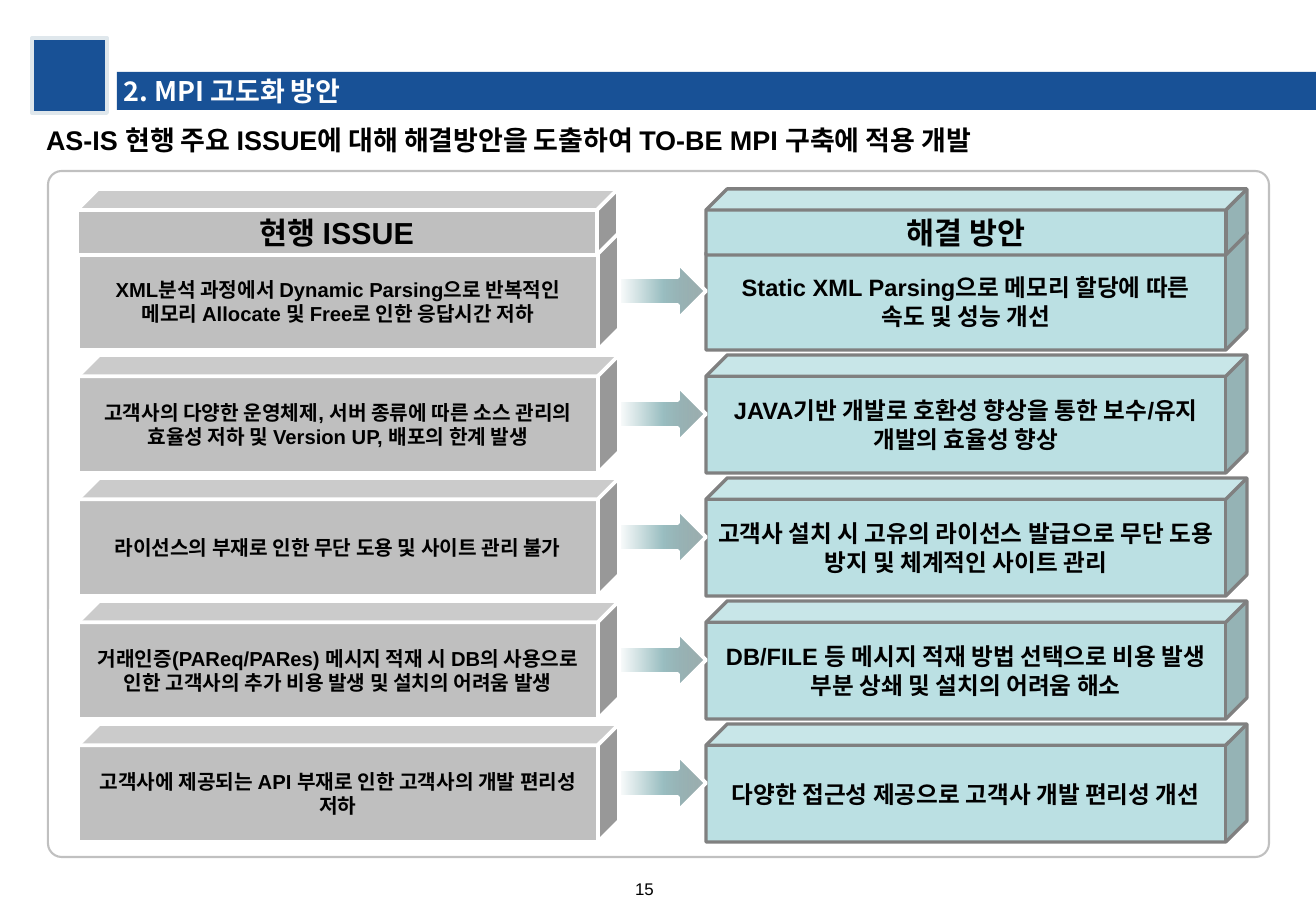
from lxml import etree
from pptx import Presentation
from pptx.dml.color import RGBColor
from pptx.enum.shapes import MSO_SHAPE
from pptx.enum.text import MSO_ANCHOR, PP_ALIGN
from pptx.oxml.ns import qn
from pptx.util import Pt

RECT, ROUND = MSO_SHAPE.RECTANGLE, MSO_SHAPE.ROUNDED_RECTANGLE
CUBE, ARROW = MSO_SHAPE.CUBE, MSO_SHAPE.RIGHT_ARROW
LEFT, CENTER = PP_ALIGN.LEFT, PP_ALIGN.CENTER
TOP, MIDDLE, BOTTOM = MSO_ANCHOR.TOP, MSO_ANCHOR.MIDDLE, MSO_ANCHOR.BOTTOM

SCALE = 914400 / 121.5
NAVY, WHITE, BLACK = "185196", "FFFFFF", "000000"
ARROW_STOPS = [(0, "6D8688", 66), (50, "9BBFC2", 100), (100, WHITE, 100)]

ISSUE = {"fill": "BFBFBF", "line": WHITE, "weight": 2.25}
SOLUTION = {"fill": "BBE0E3", "line": "808080", "weight": 2}
ROWS = [
    ("XML분석 과정에서 Dynamic Parsing으로 반복적인 메모리 Allocate 및 Free로 인한 응답시간 저하",
     "Static XML Parsing으로 메모리 할당에 따른 속도 및 성능 개선"),
    ("고객사의 다양한 운영체제, 서버 종류에 따른 소스 관리의 효율성 저하 및 Version UP, 배포의 한계 발생",
     "JAVA기반 개발로 호환성 향상을 통한 보수/유지 개발의 효율성 향상"),
    ("라이선스의 부재로 인한 무단 도용 및 사이트 관리 불가",
     "고객사 설치 시 고유의 라이선스 발급으로 무단 도용 방지 및 체계적인 사이트 관리"),
    ("거래인증(PAReq/PARes) 메시지 적재 시 DB의 사용으로 인한 고객사의 추가 비용 발생 및 설치의 어려움 발생",
     "DB/FILE 등 메시지 적재 방법 선택으로 비용 발생 부분 상쇄 및 설치의 어려움 해소"),
    ("고객사에 제공되는 API 부재로 인한 고객사의 개발 편리성 저하",
     "다양한 접근성 제공으로 고객사 개발 편리성 개선"),
]


def px(n):
    return round(n * SCALE)


def rgb(value):
    return RGBColor.from_string(value)


def place(sp, x, y, w, h):
    sp.left, sp.top, sp.width, sp.height = px(x), px(y), px(w), px(h)


def set_text(sp, text, size, color=BLACK, font="Arial", bold=True,
             align=LEFT, anchor=TOP, wrap=True, inset=0):
    tf = sp.text_frame
    tf.text = text
    tf.word_wrap = wrap
    tf.vertical_anchor = anchor
    tf.margin_left = tf.margin_right = px(inset)
    tf.margin_top = tf.margin_bottom = px(inset / 2)
    p = tf.paragraphs[0]
    p.alignment = align
    r = p.runs[0]
    r.font.size, r.font.bold, r.font.name = Pt(size), bold, font
    r.font.color.rgb = rgb(color)


def add_label(s, box, text, size, **style):
    sp = s.shapes.add_textbox(*map(px, box))
    set_text(sp, text, size, **style)


def add_box(s, kind, box, fill=None, line=None, weight=1.0, adj=None):
    sp = s.shapes.add_shape(kind, *map(px, box))
    sp.shadow.inherit = False
    if fill:
        sp.fill.solid()
        sp.fill.fore_color.rgb = rgb(fill)
    else:
        sp.fill.background()
    if line:
        sp.line.color.rgb = rgb(line)
        sp.line.width = Pt(weight)
    else:
        sp.line.fill.background()
    if adj is not None:
        sp.adjustments[0] = adj
    return sp


def add_cube(s, box, text, size, style, adj=0.18):
    sp = add_box(s, CUBE, box, adj=adj, **style)
    set_text(sp, text, size, align=CENTER, anchor=MIDDLE, inset=12)


def add_arrow(s, box):
    sp = add_box(s, ARROW, box, line=WHITE, weight=2.25)
    sp.fill.gradient()
    sp.fill.gradient_angle = 180
    stops = sp._element.spPr.find(qn("a:gradFill")).find(qn("a:gsLst"))
    for old in list(stops):
        stops.remove(old)
    for pos, color, opacity in ARROW_STOPS:
        stop = etree.SubElement(stops, qn("a:gs"), pos=str(pos * 1000))
        clr = etree.SubElement(stop, qn("a:srgbClr"), val=color)
        if opacity < 100:
            etree.SubElement(clr, qn("a:alpha"), val=str(opacity * 1000))


def add_header(s, x, y, w, h):
    # Emblem square, section bar and section name
    add_box(s, RECT, (x, y, 75, 75), NAVY, "DFE7EC", 2.25)
    add_box(s, RECT, (x + 85, y + 34, w - 85, h - 37), NAVY)
    add_label(s, (x + 92, y + 37, w - 95, 33), "2. MPI 고도화 방안", 16,
              color=WHITE, font="Noto Sans CJK KR")


def add_title(s, x, y, w, h):
    sp = s.shapes.title
    place(sp, x, y, w, h)
    set_text(sp, "AS-IS 현행 주요 ISSUE에 대해 해결방안을 도출하여 TO-BE MPI 구축에 적용 개발", 16)


def add_comparison(s, x, y, w, h):
    cube_w, cube_h, pitch = 541, 118, 123
    issue_x, arrow_x, solution_x = x + 30, x + 571, x + 658
    first_y = y + 61

    # Issue, arrow and solution in each row
    for i, (issue, solution) in enumerate(ROWS):
        top = first_y + i * pitch
        add_cube(s, (issue_x, top, cube_w, cube_h), issue, 12, ISSUE)
        add_cube(s, (solution_x, top, cube_w, cube_h), solution, 14, SOLUTION)
        add_arrow(s, (arrow_x, top + 31, 87, 56))

    # Column headings over the first row
    for left, text, style in ((solution_x, "해결 방안", SOLUTION),
                              (issue_x - 1, "현행 ISSUE", ISSUE)):
        add_cube(s, (left, y + 18, cube_w, 66), text, 18, style, adj=0.32)

    # Frame around the whole comparison
    add_box(s, ROUND, (x, y, w, h), line="C0C0C0", weight=1.25, adj=0.02)


prs = Presentation()
prs.slide_width, prs.slide_height = px(1316), px(911)
s = prs.slides.add_slide(prs.slide_layouts[5])
add_header(s, 32, 38, 1284, 75)
add_title(s, 46, 124, 1225, 33)
add_comparison(s, 48, 171, 1221, 686)
# Page number
add_label(s, (635, 868, 45, 31), "15", 10, bold=False, anchor=BOTTOM, wrap=False)
prs.save("out.pptx")
